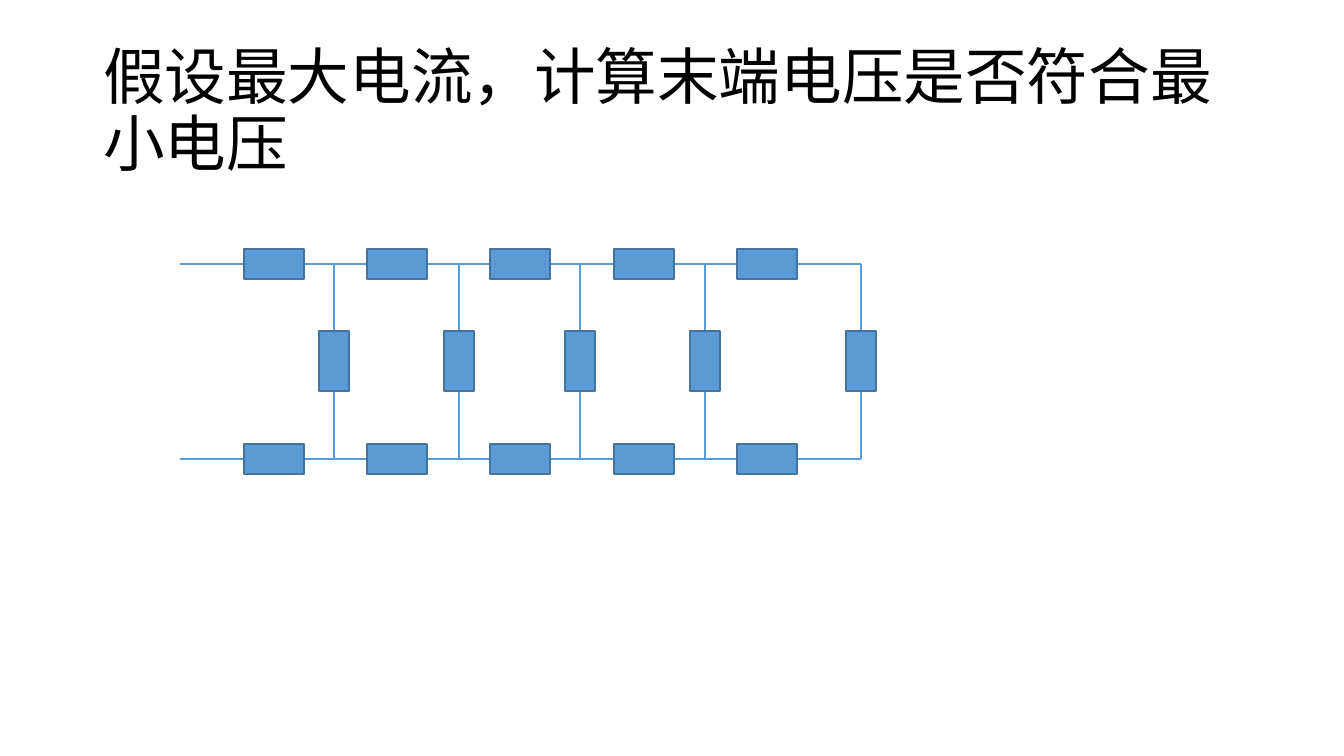
"""Build a slide with a ladder circuit of line and load resistors."""
from dataclasses import dataclass

from lxml.etree import SubElement
from pptx import Presentation
from pptx.dml.color import RGBColor
from pptx.enum.shapes import MSO_CONNECTOR as Connector, MSO_SHAPE as Shape
from pptx.enum.text import MSO_ANCHOR as Anchor, MSO_AUTO_SIZE as AutoSize, PP_ALIGN as Align
from pptx.oxml.ns import qn
from pptx.util import Emu, Pt


@dataclass(frozen=True)
class Theme:
    font: str = "Calibri"
    title_size: int = 44
    text: str = "000000"
    fill: str = "5B9BD5"
    outline: str = "43739E"
    wire: str = "5B9BD5"


theme = Theme()
PX = 914400 / 100.8


def write_text(box, text, *, size, color, font, align, anchor, spacing):
    frame = box.text_frame
    frame.word_wrap = True
    frame.auto_size = AutoSize.NONE
    frame.vertical_anchor = anchor
    para = frame.paragraphs[0]
    para.alignment = align
    para.line_spacing = spacing
    span = para.add_run()
    span.text = text
    span.font.size = Pt(size)
    span.font.name = font
    span.font.color.rgb = RGBColor.from_string(color)


def add_wire(page, *ends):
    wire = page.shapes.add_connector(Connector.STRAIGHT, *[Emu(round(end * PX)) for end in ends])
    wire.line.color.rgb = RGBColor.from_string(theme.wire)
    wire.line.width = Pt(2)
    SubElement(wire._element.spPr, qn("a:effectLst"))


deck = Presentation()
deck.slide_width, deck.slide_height = Emu(round(1344 * PX)), Emu(round(756 * PX))
page = deck.slides.add_slide(deck.slide_layouts[5])

title = page.shapes.title
title.left, title.top, title.width, title.height = [
    Emu(round(length * PX)) for length in (93, 40, 1159, 146)
]
write_text(title, "假设最大电流，计算末端电压是否符合最小电压", size=theme.title_size,
           color=theme.text, font=theme.font, align=Align.LEFT, anchor=Anchor.MIDDLE, spacing=0.9)

LONG, SHORT, GAP = 60, 30, 64
TOP_WIRE, BOTTOM_WIRE = 264, 459
LOAD_CENTER = (TOP_WIRE + BOTTOM_WIRE) // 2
LINE_LEFTS = [244 + 370 * index // 3 for index in range(5)]
LOAD_CENTERS = [334, 459, 580, 705, 861]

resistors = []
for wire_y in (TOP_WIRE, BOTTOM_WIRE):
    for left in LINE_LEFTS:
        resistors.append((left + LONG // 2, wire_y, 0))
        add_wire(page, left - GAP, wire_y, left, wire_y)
    add_wire(page, LINE_LEFTS[-1] + LONG, wire_y, LOAD_CENTERS[-1], wire_y)

for center in LOAD_CENTERS:
    resistors.append((center, LOAD_CENTER, 270))
    add_wire(page, center, LOAD_CENTER - LONG // 2, center, TOP_WIRE)
    add_wire(page, center, BOTTOM_WIRE, center, LOAD_CENTER + LONG // 2)

for center_x, center_y, rotation in resistors:
    bounds = (center_x - LONG // 2, center_y - SHORT // 2, LONG, SHORT)
    resistor = page.shapes.add_shape(Shape.RECTANGLE, *[Emu(round(length * PX)) for length in bounds])
    resistor.rotation = rotation
    resistor.shadow.inherit = False
    resistor.fill.solid()
    resistor.fill.fore_color.rgb = RGBColor.from_string(theme.fill)
    resistor.line.color.rgb = RGBColor.from_string(theme.outline)
    resistor.line.width = Pt(1)

deck.save("out.pptx")
